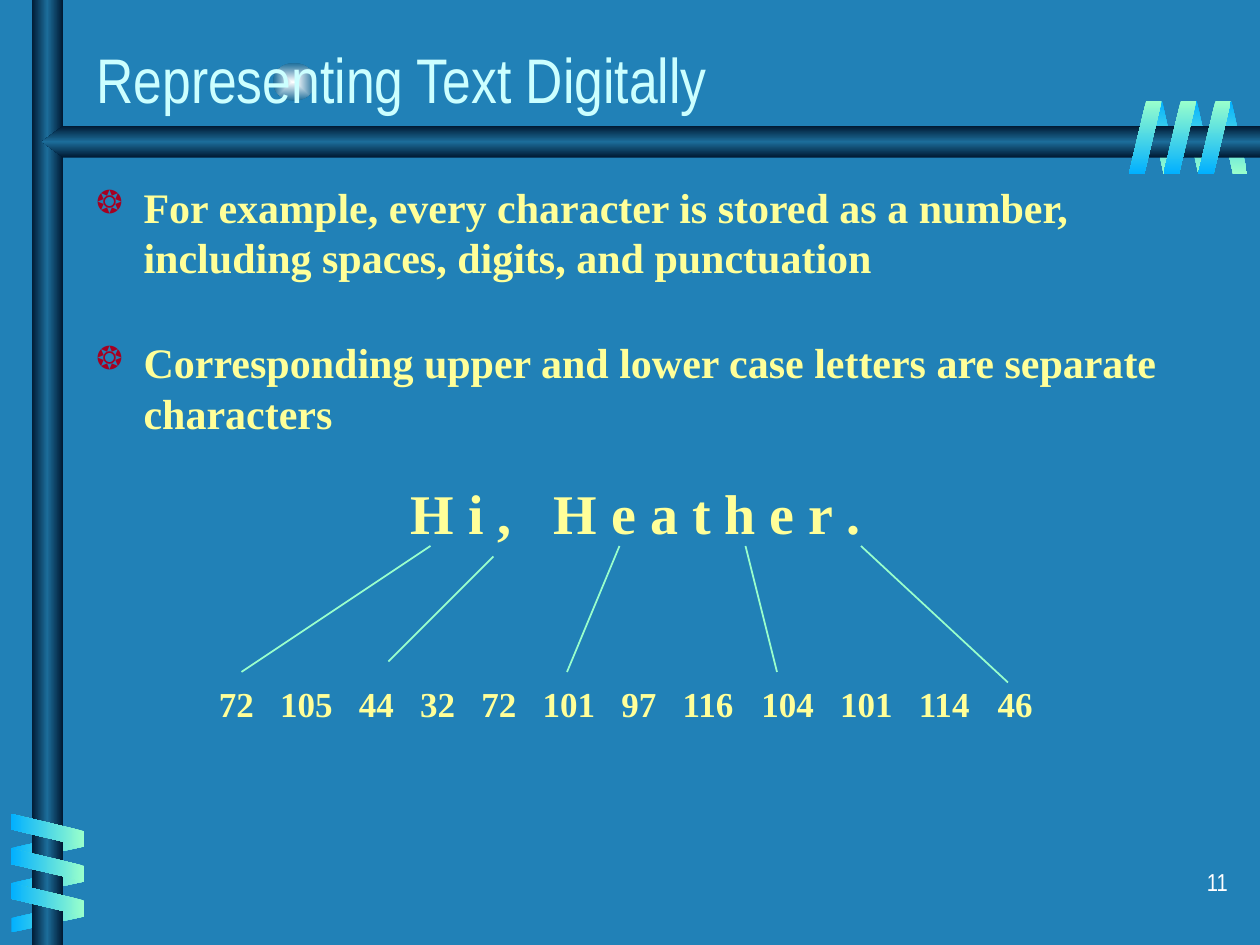
from lxml.etree import SubElement
from pptx import Presentation
from pptx.dml.color import RGBColor
from pptx.enum.shapes import MSO_CONNECTOR as Link, MSO_SHAPE as Shape
from pptx.enum.text import MSO_ANCHOR as Anchor, PP_ALIGN as Align
from pptx.oxml.ns import qn
from pptx.util import Pt

COLORS = {
    "background": "2181B7", "title": "CCFFFF", "text": "FFFF99", "bullet": "A50021",
    "mint": "99FFCC", "sky": "01B0FF", "navy": "001932", "steel": "1C6D9A",
    "glow": "FEFFFF", "white": "FFFFFF",
}
BAR = ("navy", "steel", "navy")
FRONT = ("mint", "sky")
BACK = ("sky", "mint")
SERIF = "Times New Roman"
NARROW = "Arial Narrow"


def color(name):
    return RGBColor.from_string(COLORS[name])


def write_text(paragraph, text, font=SERIF, size=24, bold=True, fill="text",
               align=Align.LEFT, before=0, bullet=None, tabs=()):
    run = paragraph.add_run()
    run.text = text
    run.font.name = font
    run.font.size = Pt(size)
    run.font.bold = bold
    run.font.color.rgb = color(fill)
    paragraph.alignment = align
    paragraph.space_before = Pt(before)
    properties = paragraph._p.get_or_add_pPr()
    if bullet:
        properties.set("marL", str(Pt(27)))
        properties.set("indent", str(Pt(-27)))
        tint = SubElement(properties, qn("a:buClr"))
        SubElement(tint, qn("a:srgbClr"), val=COLORS["bullet"])
        SubElement(properties, qn("a:buSzPct"), val="75000")
        SubElement(properties, qn("a:buChar"), char=bullet)
    if tabs:
        stops = SubElement(properties, qn("a:tabLst"))
        for stop in tabs:
            SubElement(stops, qn("a:tab"), pos=str(Pt(stop)), algn="l")


class SlideBuilder:
    def __init__(self, slide):
        self.slide = slide
        self.shapes = slide.shapes
        backdrop = slide.background.fill
        backdrop.solid()
        backdrop.fore_color.rgb = color("background")

    def shade(self, shape, names, angle=None):
        shape.shadow.inherit = False
        shape.line.fill.background()
        shape.fill.gradient()
        gradient = shape._element.spPr.find(qn("a:gradFill"))
        for child in list(gradient):
            gradient.remove(child)
        gradient.set("rotWithShape", "0")
        stops = SubElement(gradient, qn("a:gsLst"))
        for index, name in enumerate(names):
            position = 100000 * index // (len(names) - 1)
            stop = SubElement(stops, qn("a:gs"), pos=str(position))
            SubElement(stop, qn("a:srgbClr"), val=COLORS[name])
        if angle is None:
            center = SubElement(gradient, qn("a:path"), path="rect")
            SubElement(center, qn("a:fillToRect"), l="50000", t="50000", r="50000", b="50000")
        else:
            SubElement(gradient, qn("a:lin"), ang=str(angle * 60000), scaled="1")

    def preset(self, kind, box, names, angle=None):
        shape = self.shapes.add_shape(kind, *map(Pt, box))
        self.shade(shape, names, angle)
        return shape

    def ribbon(self, left, top, width, names, angle, rotation=0, flip=False, across=0, down=0):
        for turn in range(3):
            box = (left + turn * across, top + turn * down, width, 41.8)
            strip = self.preset(Shape.PARALLELOGRAM, box, names, angle)
            strip.adjustments[0] = 0.53
            strip.rotation = rotation
            if flip:
                strip._element.spPr.find(qn("a:xfrm")).set("flipH", "1")

    def outline(self, points, names, angle):
        builder = self.shapes.build_freeform(*points[0], scale=Pt(1))
        builder.add_line_segments(points[1:], close=True)
        self.shade(builder.convert_to_shape(), names, angle)

    def text(self, box, lines, anchor=Anchor.TOP, **style):
        frame = self.shapes.add_textbox(*map(Pt, box)).text_frame
        frame.word_wrap = True
        frame.vertical_anchor = anchor
        for index, (line, before) in enumerate(lines):
            paragraph = frame.add_paragraph() if index else frame.paragraphs[0]
            write_text(paragraph, line, before=before, **style)

    def line(self, start, end):
        connector = self.shapes.add_connector(Link.STRAIGHT, *map(Pt, start + end))
        connector.line.color.rgb = color("mint")
        connector.line.width = Pt(1)
        SubElement(connector._element.spPr, qn("a:effectLst"))


def main():
    deck = Presentation()
    deck.slide_width, deck.slide_height = Pt(720), Pt(540)
    page = SlideBuilder(deck.slides.add_slide(deck.slide_layouts[6]))

    page.preset(Shape.OVAL, (156, 36, 24, 21.6), ("glow", "steel"))
    page.ribbon(695.5, 57.6, 17.3, BACK, 90, rotation=180, flip=True, across=-19.8)
    page.ribbon(18.7, 463.2, 17.3, BACK, 180, rotation=90, flip=True, down=20)
    page.preset(Shape.RECTANGLE, (18, 0, 18, 540), BAR, 180)
    page.outline([(720, 72), (36, 72), (24, 81), (36, 90), (720, 90)], BAR, 90)
    page.ribbon(17.8, 453.5, 18.7, FRONT, 180, rotation=270, down=19.8)
    page.ribbon(684.7, 57.6, 18.7, FRONT, 90, across=-19.8)

    page.text((48, 16, 598, 54), [("Representing Text Digitally", 0)], Anchor.BOTTOM,
              font=NARROW, size=36, bold=False, fill="title")
    page.text((48, 100, 654, 386), [
        ("For example, every character is stored as a number, "
         "including spaces, digits, and punctuation", 6),
        ("Corresponding upper and lower case letters are separate characters", 31.2),
    ], bullet="❂")
    page.text((227.5, 270, 273, 45.4), [("H i ,\tH e a t h e r .", 0)], size=32, tabs=[81.8])

    codes = [ord(letter) for letter in "Hi, Heather."]
    stops, position = [], 0
    for code in codes[:-1]:
        position += 10 * len(str(code)) + 15
        stops.append(position)
    page.text((118, 386.6, 480, 31), [("\t".join(map(str, codes)), 0)], size=20, tabs=stops)

    for start, end in [
        ((138, 384), (246, 312)),
        ((222, 378), (282, 318)),
        ((426, 312), (444, 384)),
        ((492, 312), (576, 390)),
        ((324, 384), (354, 312)),
    ]:
        page.line(start, end)

    page.text((558.7, 492, 150, 36), [("11", 8.8)], font=NARROW, size=14, bold=False,
              fill="white", align=Align.RIGHT)
    deck.save("out.pptx")


if __name__ == "__main__":
    main()
